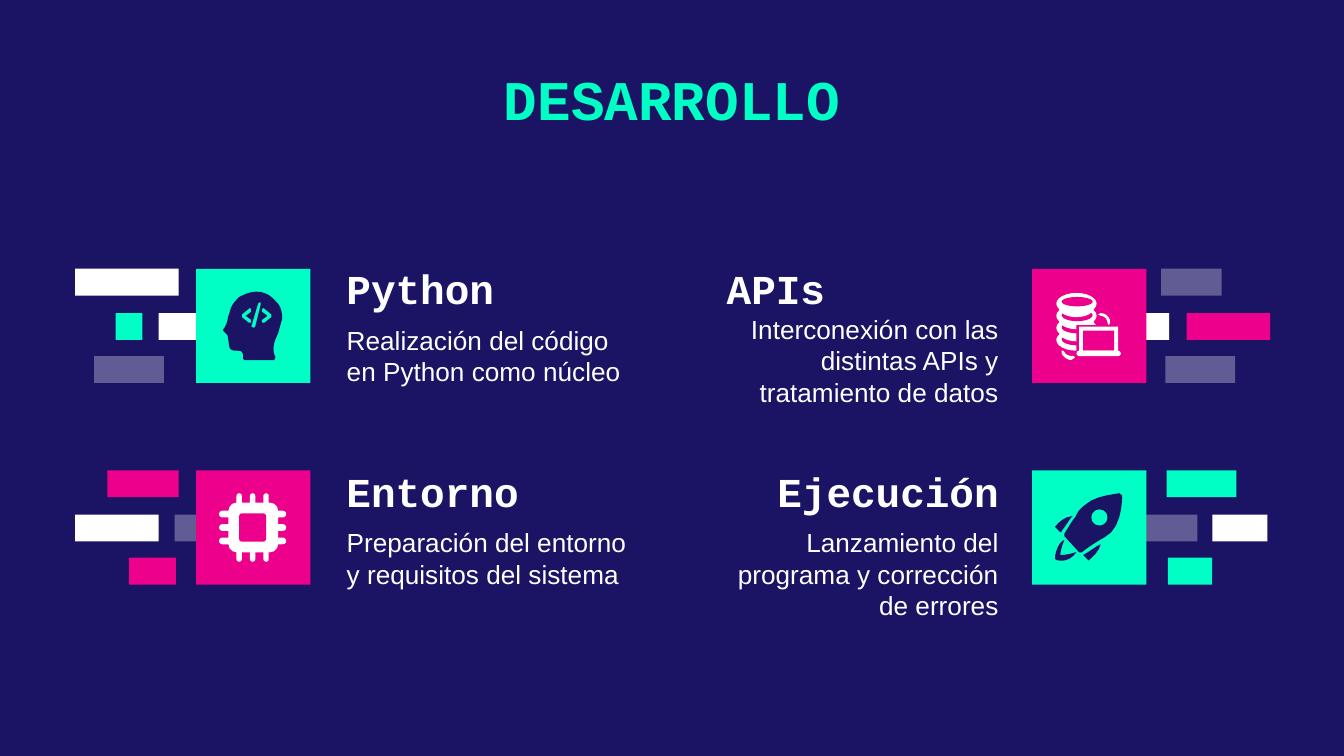
from lxml.etree import SubElement
from pptx import Presentation
from pptx.dml.color import RGBColor
from pptx.enum.shapes import MSO_SHAPE
from pptx.enum.text import MSO_ANCHOR, MSO_AUTO_SIZE, PP_ALIGN
from pptx.oxml.ns import qn
from pptx.util import Inches, Pt

NAVY = RGBColor(0x1B, 0x14, 0x64)
TEAL = RGBColor(0x00, 0xFF, 0xC5)
PINK = RGBColor(0xEC, 0x00, 0x8C)
WHITE = RGBColor(0xFF, 0xFF, 0xFF)

deck = Presentation()
deck.slide_width, deck.slide_height = Inches(10), Inches(10 * 9 / 16)
page = deck.slides.add_slide(deck.slide_layouts[4])
page.background.fill.solid()
page.background.fill.fore_color.rgb = NAVY


def add_block(left, top, width, height, color, kind=MSO_SHAPE.RECTANGLE):
    block = page.shapes.add_shape(kind, Inches(left), Inches(top), Inches(width), Inches(height))
    block.shadow.inherit = False
    block.fill.solid()
    block.fill.fore_color.rgb = color
    block.line.fill.background()
    return block


def add_outline(color, *contours):
    builder = None
    for start, *steps in contours:
        points = [start]
        for step in steps:
            if len(step) == 2:
                points.append(step)
                continue
            x0, y0 = points[-1]
            x1, y1, x2, y2, x3, y3 = step
            for t in (0.2, 0.4, 0.6, 0.8, 1):
                a, b, c, d = (1 - t) ** 3, 3 * t * (1 - t) ** 2, 3 * t * t * (1 - t), t ** 3
                points.append((a * x0 + b * x1 + c * x2 + d * x3, a * y0 + b * y1 + c * y2 + d * y3))
        places = [(Inches(x), Inches(y)) for x, y in points]
        if builder is None:
            builder = page.shapes.build_freeform(*places[0])
        else:
            builder.move_to(*places[0])
        builder.add_line_segments(places[1:], close=True)
    outline = builder.convert_to_shape()
    outline.shadow.inherit = False
    outline.fill.solid()
    outline.fill.fore_color.rgb = color
    outline.line.fill.background()


BAR_HEIGHT, TILE = 0.2, 0.85
bars = [
    (2, 0.56, 0.77, WHITE, False), (2, 8.64, 0.45, WHITE, True),
    (2.33, 0.86, 0.2, TEAL, False), (2.33, 1.18, 0.35, WHITE, False),
    (2.33, 8.46, 0.24, WHITE, False), (2.33, 8.83, 0.62, PINK, False),
    (2.65, 0.7, 0.52, WHITE, True), (2.65, 8.67, 0.52, WHITE, True),
    (3.5, 0.8, 0.53, PINK, False), (3.5, 8.68, 0.52, TEAL, False),
    (3.83, 0.56, 0.62, WHITE, False), (3.83, 1.3, 0.24, WHITE, True),
    (3.83, 8.46, 0.45, WHITE, True), (3.83, 9.02, 0.41, WHITE, False),
    (4.15, 0.96, 0.35, PINK, False), (4.15, 8.69, 0.33, TEAL, False),
]
for top, left, width, color, faded in bars:
    bar = add_block(left, top, width, BAR_HEIGHT, color)
    if faded:
        SubElement(bar.fill._xPr.find(".//" + qn("a:srgbClr")), qn("a:alpha"), val="31000")

for left, top, color in ((1.46, 2, TEAL), (7.68, 2, PINK), (1.46, 3.5, PINK), (7.68, 3.5, TEAL)):
    add_block(left, top, TILE, TILE, color)

LEFT, RIGHT, CENTER = PP_ALIGN.LEFT, PP_ALIGN.RIGHT, PP_ALIGN.CENTER
TOP, BOTTOM = MSO_ANCHOR.TOP, MSO_ANCHOR.BOTTOM
title = {"size": Pt(30), "name": "Courier New", "bold": True}
heading = {"size": Pt(22), "name": "Courier New", "bold": True}
body = {"size": Pt(14), "name": "Arial", "bold": False}
slots = iter(sorted(page.placeholders, key=lambda slot: slot.placeholder_format.idx))
texts = [
    ("DESARROLLO", (1.4, 0.38, 7.2, 0.73), title, TEAL, CENTER, TOP, 0.1),
    ("Realización del código en Python como núcleo", (2.48, 2.41, 2.37, 0.45), body, WHITE, LEFT, TOP, 0.1),
    ("Interconexión con las distintas APIs y tratamiento de datos", (5.07, 2.33, 2.46, 0.54), body, WHITE, RIGHT, TOP, 0.1),
    ("Preparación del entorno y requisitos del sistema", (2.48, 3.92, 2.37, 0.45), body, WHITE, LEFT, TOP, 0.1),
    ("Lanzamiento del programa y corrección de errores", (5.16, 3.92, 2.37, 0.45), body, WHITE, RIGHT, TOP, 0.1),
    ("Python", (2.48, 1.94, 2.37, 0.39), heading, WHITE, LEFT, BOTTOM, 0.1),
    ("APIs", (5.16, 1.94, 2.37, 0.39), heading, WHITE, RIGHT, BOTTOM, 1.39),
    ("Entorno", (2.48, 3.45, 2.37, 0.39), heading, WHITE, LEFT, BOTTOM, 0.1),
    ("Ejecución", (5.16, 3.45, 2.37, 0.39), heading, WHITE, RIGHT, BOTTOM, 0.1),
]
for words, place, font, color, alignment, anchor, right_margin in texts:
    left, top, width, height = map(Inches, place)
    if font is heading:
        box = page.shapes.add_textbox(left, top, width, height)
    else:
        box = next(slots)
        box.left, box.top, box.width, box.height = left, top, width, height
    frame = box.text_frame
    settings = {
        "word_wrap": True, "auto_size": MSO_AUTO_SIZE.NONE, "vertical_anchor": anchor,
        "margin_left": Inches(0.1), "margin_right": Inches(right_margin),
        "margin_top": Inches(0.1 if font is title else 0),
        "margin_bottom": Inches(0 if font is heading else 0.1),
    }
    for name, value in settings.items():
        setattr(frame, name, value)
    para = frame.paragraphs[0]
    para.alignment = alignment
    para.space_before = Pt(0)
    para.line_spacing = 1.0
    if font is body:
        properties = para._p.get_or_add_pPr()
        properties.set("marL", "0")
        properties.set("indent", "0")
        SubElement(properties, qn("a:buNone"))
    span = para.add_run()
    span.text = words
    for name, value in font.items():
        setattr(span.font, name, value)
    span.font.color.rgb = color

add_outline(
    NAVY,
    [(1.91, 2.17), (1.86, 2.17, 1.82, 2.19, 1.78, 2.21), (1.75, 2.24, 1.72, 2.27, 1.71, 2.32),
     (1.69, 2.37, 1.7, 2.39, 1.67, 2.44), (1.66, 2.45, 1.66, 2.45, 1.66, 2.46),
     (1.67, 2.47, 1.68, 2.48, 1.69, 2.49), (1.7, 2.49, 1.7, 2.57, 1.71, 2.59),
     (1.72, 2.61, 1.75, 2.61, 1.77, 2.61), (1.79, 2.61, 1.8, 2.61, 1.81, 2.64),
     (1.81, 2.67), (1.82, 2.68), (2.04, 2.68), (2.05, 2.66),
     (2.02, 2.6, 2.04, 2.54, 2.07, 2.48), (2.08, 2.44, 2.09, 2.41, 2.1, 2.37),
     (2.1, 2.32, 2.09, 2.28, 2.06, 2.25), (2.02, 2.2, 1.97, 2.17, 1.91, 2.17)],
    [(1.86, 2.29), (1.87, 2.3), (1.87, 2.32), (1.83, 2.35), (1.87, 2.38), (1.87, 2.4),
     (1.85, 2.4), (1.8, 2.36), (1.8, 2.34)],
    [(1.96, 2.29), (1.95, 2.3), (1.95, 2.32), (1.99, 2.35), (1.95, 2.38), (1.95, 2.4),
     (1.97, 2.4), (2.02, 2.36), (2.02, 2.34)],
    [(1.93, 2.25), (1.94, 2.25), (1.94, 2.27), (1.9, 2.43), (1.89, 2.44), (1.87, 2.43), (1.92, 2.26)],
)

for step in range(3):
    for place in ((1.76 + step / 10, 3.67, 0.04, 0.51), (1.63, 3.8 + step / 10, 0.5, 0.05)):
        pin = add_block(*place, WHITE, MSO_SHAPE.ROUNDED_RECTANGLE)
        pin.adjustments[0] = 0.5
add_block(1.7, 3.74, 0.37, 0.37, WHITE, MSO_SHAPE.ROUNDED_RECTANGLE)
core = add_block(1.78, 3.82, 0.2, 0.21, PINK, MSO_SHAPE.ROUNDED_RECTANGLE)
core.adjustments[0] = 0.1

add_outline(NAVY, [(7.98, 3.84), (7.91, 3.84, 7.85, 3.92, 7.85, 3.92), (7.89, 3.96),
                   (7.9, 3.96, 7.9, 3.96, 7.9, 3.95), (7.94, 3.9, 7.96, 3.86, 7.98, 3.84)])
add_outline(NAVY, [(8.19, 4.05), (8.16, 4.06, 8.13, 4.09, 8.06, 4.13), (8.1, 4.17),
                   (8.1, 4.17, 8.18, 4.11, 8.19, 4.05)])
add_outline(NAVY, [(7.91, 4.02), (7.89, 4.04), (7.87, 4.07, 7.85, 4.11, 7.85, 4.16), (7.87, 4.17),
                   (7.93, 4.18, 7.97, 4.16, 8.01, 4.11), (8, 4.11), (7.97, 4.12, 7.93, 4.13, 7.89, 4.13),
                   (7.89, 4.11, 7.9, 4.06, 7.92, 4.02)])
add_outline(NAVY, [(8.33, 3.67), (8.28, 3.68, 8.14, 3.69, 8.07, 3.76), (8.03, 3.79, 8.02, 3.81, 8, 3.85),
                   (7.98, 3.87, 7.96, 3.91, 7.92, 3.97), (7.92, 3.99), (8.03, 4.11), (8.05, 4.11),
                   (8.11, 4.06, 8.15, 4.04, 8.18, 4.02), (8.22, 4, 8.23, 3.99, 8.27, 3.96),
                   (8.34, 3.88, 8.35, 3.75, 8.35, 3.69), (8.34, 3.68)])
add_block(8.12, 3.79, 0.12, 0.12, TEAL, MSO_SHAPE.OVAL)

for step in (3, 2, 1, 0):
    top = 2.18 + 0.09 * step
    add_block(7.86, top, 0.3, 0.16, WHITE, MSO_SHAPE.OVAL)
    add_block(7.9, top + 0.03, 0.23, 0.07 if step == 0 else 0.09, PINK, MSO_SHAPE.OVAL)
    if step:
        add_block(7.88, top - 0.05, 0.26, 0.14, WHITE, MSO_SHAPE.OVAL)
add_block(8.01, 2.42, 0.33, 0.2, PINK)
add_block(8.03, 2.43, 0.29, 0.19, WHITE)
add_block(8.06, 2.46, 0.23, 0.15, PINK)
base = add_block(8.01, 2.61, 0.33, 0.04, WHITE, MSO_SHAPE.ROUNDED_RECTANGLE)
base.adjustments[0] = 0.5
add_outline(WHITE, [(7.91, 2.61), (7.9, 2.61), (7.9, 2.63), (7.91, 2.66, 7.95, 2.68, 7.97, 2.68),
                    (8, 2.66), (7.99, 2.65), (7.95, 2.65, 7.93, 2.64, 7.92, 2.62)])
add_outline(WHITE, [(8.19, 2.33), (8.17, 2.34), (8.19, 2.35), (8.21, 2.35, 8.24, 2.37, 8.24, 2.4),
                    (8.25, 2.42), (8.26, 2.4), (8.26, 2.36, 8.23, 2.33, 8.19, 2.33)])

deck.save("out.pptx")
